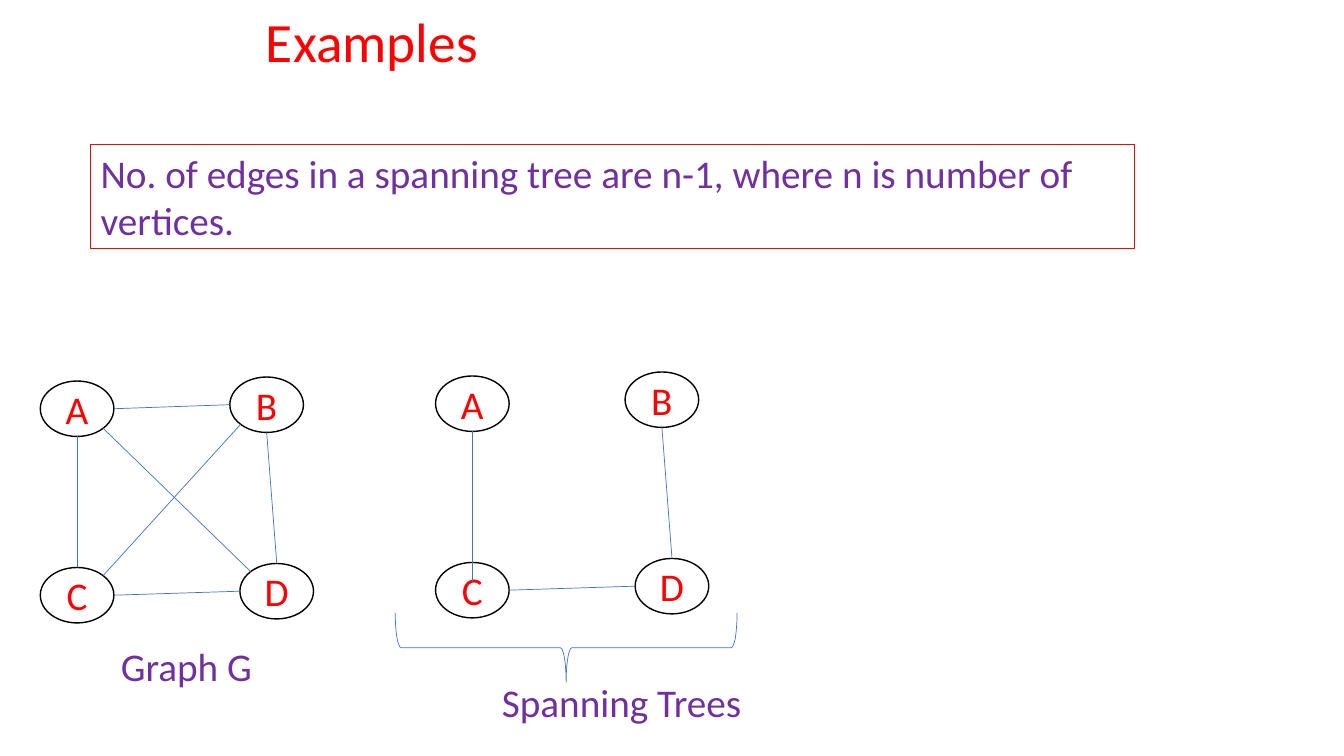
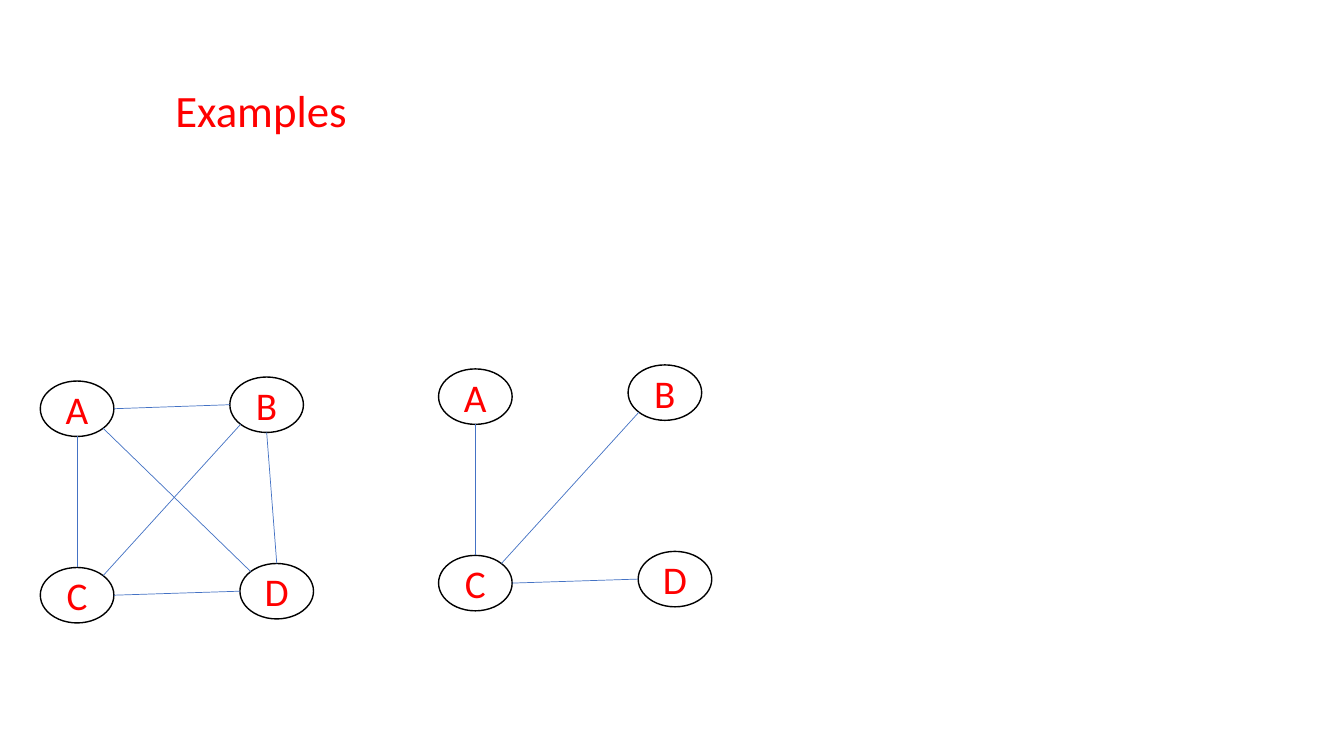
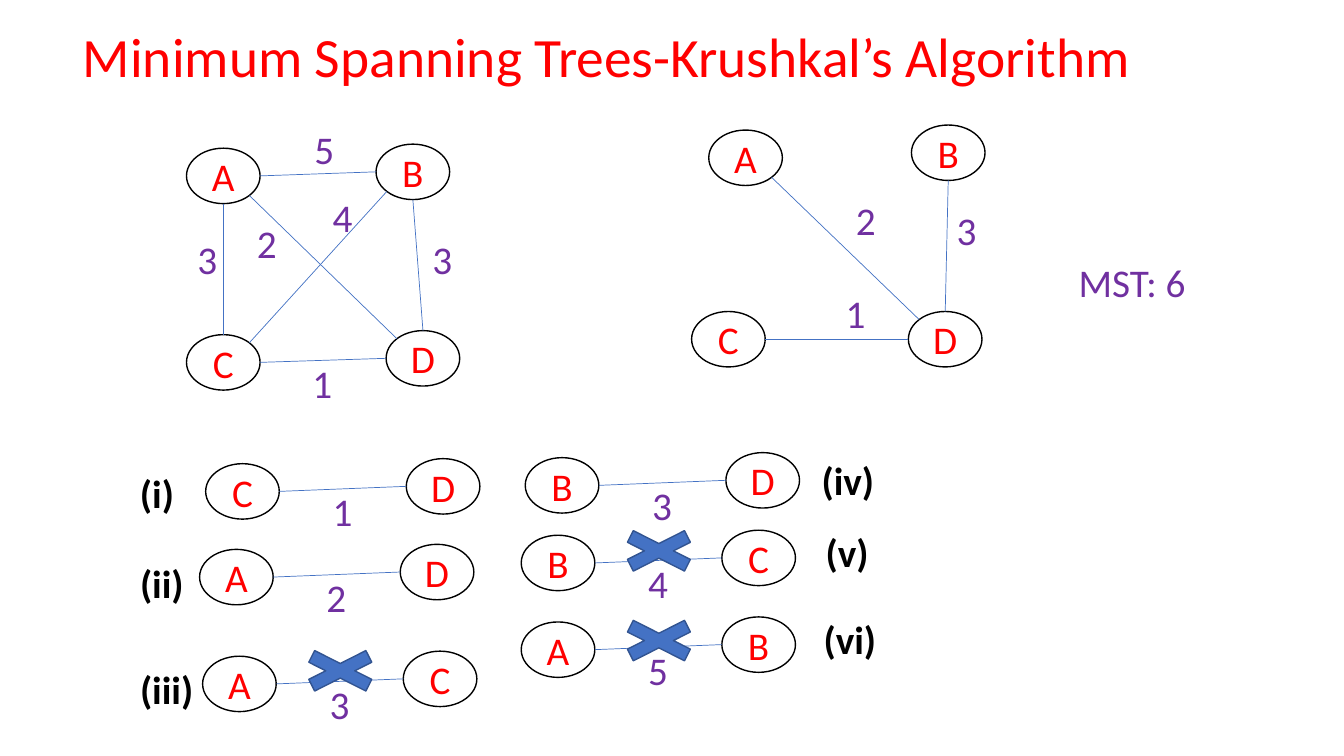
from pptx import Presentation
from pptx.dml.color import RGBColor
from pptx.enum import shapes, text
from pptx.oxml.ns import qn
from pptx.util import Inches, Pt
from lxml import etree

COLORS = {"red": "FF0000", "purple": "7030A0", "black": "000000",
          "blue": "4472C4", "dark blue": "325491"}
FONTS = {
    "title": {"size": Pt(39.6), "color": "red"},
    "subtitle": {"size": Pt(32), "color": "red"},
    "node": {"size": Pt(28), "color": "red"},
    "caption": {"size": Pt(28), "color": "purple"},
    "step": {"size": Pt(28), "color": "black", "bold": True},
}
NODE_WIDTH, NODE_HEIGHT = 0.73, 0.55
LABEL_HEIGHT = 0.57
# Where an edge leaves its first node and meets its second,
# in half widths and half heights from the node's centre
EDGE_ENDS = {
    "across": ((1, 0), (-1, 0)),
    "down": ((0, 1), (0, -1)),
    "down into": ((0, 1), (0, -0.25)),
    "slant right": ((0.71, 0.71), (-0.71, -0.71)),
    "slant left": ((-0.71, 0.71), (0.71, -0.71)),
}
FULL_GRAPH = {"AB": "across", "AC": "down", "AD": "slant right",
              "BC": "slant left", "BD": "down", "CD": "across"}
SQUARE = {"A": (0, 0.04), "B": (1.88, 0), "C": (0, 1.89), "D": (1.98, 1.85)}


def add_box(slide, box, words="", font="caption", preset=None, line=None,
            fill=None, wrap=False, centered=False):
    """Add a text box, or a preset shape with a (colour, points) line."""
    lengths = [Inches(value) for value in box]
    if preset is None:
        shape = slide.shapes.add_textbox(*lengths)
    else:
        shape = slide.shapes.add_shape(preset, *lengths)
        shape.shadow.inherit = False
        shape.line.color.rgb = RGBColor.from_string(COLORS[line[0]])
        shape.line.width = Pt(line[1])
        if fill:
            shape.fill.solid()
            shape.fill.fore_color.rgb = RGBColor.from_string(COLORS[fill])
        else:
            shape.fill.background()
    if words:
        frame = shape.text_frame
        frame.word_wrap = wrap
        frame.vertical_anchor = text.MSO_ANCHOR.MIDDLE if centered else text.MSO_ANCHOR.TOP
        if not centered:
            frame.auto_size = text.MSO_AUTO_SIZE.SHAPE_TO_FIT_TEXT
        paragraph = frame.paragraphs[0]
        paragraph.text = words
        paragraph.alignment = text.PP_ALIGN.CENTER if centered else text.PP_ALIGN.LEFT
        paragraph.line_spacing = 0.9 if font == "title" else 1.0
        paragraph.font.name = "Calibri"
        for name, value in FONTS[font].items():
            if name == "color":
                paragraph.font.color.rgb = RGBColor.from_string(COLORS[value])
            else:
                setattr(paragraph.font, name, value)
    return shape


def add_graph(slide, origin, nodes, edges):
    """Draw lettered nodes, placed relative to origin, and their edges."""
    corners = {letter: (origin[0] + x, origin[1] + y) for letter, (x, y) in nodes.items()}
    for letter, corner in corners.items():
        add_box(slide, (*corner, NODE_WIDTH, NODE_HEIGHT), letter, "node",
                shapes.MSO_SHAPE.OVAL, ("black", 1), wrap=True, centered=True)
    for pair, direction in edges.items():
        ends = []
        for letter, (across, down) in zip(pair, EDGE_ENDS[direction]):
            left, top = corners[letter]
            ends += [Inches(left + NODE_WIDTH / 2 * (1 + across)),
                     Inches(top + NODE_HEIGHT / 2 * (1 + down))]
        edge = slide.shapes.add_connector(shapes.MSO_CONNECTOR.STRAIGHT, *ends)
        edge.line.color.rgb = RGBColor.from_string(COLORS["blue"])
        edge.line.width = Pt(0.5)
        etree.SubElement(edge._element.spPr, qn("a:effectLst"))


presentation = Presentation()
presentation.slide_width = Inches(13.33)
presentation.slide_height = Inches(7.5)
blank = presentation.slide_layouts[6]
first, second, third = [presentation.slides.add_slide(blank) for _ in range(3)]

# Slide 1: graph and a first spanning tree
add_box(first, (0.1, 0.07, 7.18, 0.74), "Examples", "title", wrap=True, centered=True)
add_box(first, (0.9, 1.43, 10.35, 1.04),
        "No. of edges in a spanning tree are n-1, where n is number of vertices.",
        preset=shapes.MSO_SHAPE.RECTANGLE, line=("red", 0.75), wrap=True)
add_graph(first, (0.4, 3.74), SQUARE, FULL_GRAPH)
add_graph(first, (4.32, 3.69), SQUARE, {"AC": "down into", "CD": "across", "BD": "down"})
add_box(first, (1.1, 6.32, 1.52, LABEL_HEIGHT), "Graph G")
brace = add_box(first, (5.27, 4.73, 0.69, 3.39), preset=shapes.MSO_SHAPE.LEFT_BRACE,
                line=("blue", 0.5))
brace.rotation = 270
add_box(first, (4.88, 6.68, 2.6, LABEL_HEIGHT), "Spanning Trees")

# Slide 2: the same graph and another spanning tree
add_box(second, (1.64, 0.77, 2.06, 0.64), "Examples", "subtitle", wrap=True)
add_graph(second, (0.4, 3.74), SQUARE, FULL_GRAPH)
add_graph(second, (4.35, 3.62), SQUARE, {"AC": "down", "CD": "across", "BC": "slant left"})

# Slide 3: weighted graph, its minimum spanning tree and the steps
add_box(third, (0.51, 0.08, 11.14, 1.02), "Minimum Spanning Trees-Krushkal’s Algorithm ",
        "title", wrap=True, centered=True)
add_graph(third, (1.85, 1.43), SQUARE, FULL_GRAPH)
add_graph(third, (6.86, 1.24),
          {"A": (0.17, 0.05), "B": (2.18, 0), "C": (0, 1.85), "D": (2.15, 1.85)},
          {"AD": "slant right", "BD": "down", "CD": "across"})
weights = [("5", 3.02, 1.19), ("3", 1.86, 2.29), ("3", 4.19, 2.29), ("1", 3, 3.52),
           ("2", 2.45, 2.13), ("4", 3.2, 1.87),
           ("1", 8.29, 2.82), ("2", 8.39, 1.9), ("3", 9.39, 2)]
for weight, left, top in weights:
    add_box(third, (left, top, 0.4, LABEL_HEIGHT), weight)
add_box(third, (10.6, 2.51, 1.28, LABEL_HEIGHT), "MST: 6")

# Number, its place and width, edge, weight, place of the edge, top of the cross
steps = [
    ("(i)", 1.29, 4.61, 0.56, "CD", "1", 2.04, 4.55, None),
    ("(ii)", 1.29, 5.5, 0.72, "AD", "2", 1.98, 5.4, None),
    ("(iii)", 1.29, 6.55, 0.78, "AC", "3", 2.01, 6.46, 6.38),
    ("(iv)", 8.05, 4.48, 0.75, "BD", "3", 5.21, 4.49, None),
    ("(v)", 8.09, 5.19, 0.7, "BC", "4", 5.17, 5.26, 5.19),
    ("(vi)", 8.07, 6.06, 0.76, "AB", "5", 5.17, 6.12, 6.08),
]
for number, number_left, number_top, width, pair, weight, left, top, cross_top in steps:
    add_box(third, (number_left, number_top, width, LABEL_HEIGHT), number, "step")
    add_graph(third, (left, top), {pair[0]: (0, 0.05), pair[1]: (1.99, 0)}, {pair: "across"})
    add_box(third, (left + 1.16, top + 0.24, 0.4, LABEL_HEIGHT), weight)
    if cross_top:
        add_box(third, (left + 0.82, cross_top, 1.09, 0.55),
                preset=shapes.MSO_SHAPE.MATH_MULTIPLY, line=("dark blue", 1), fill="blue")

presentation.save("out.pptx")
